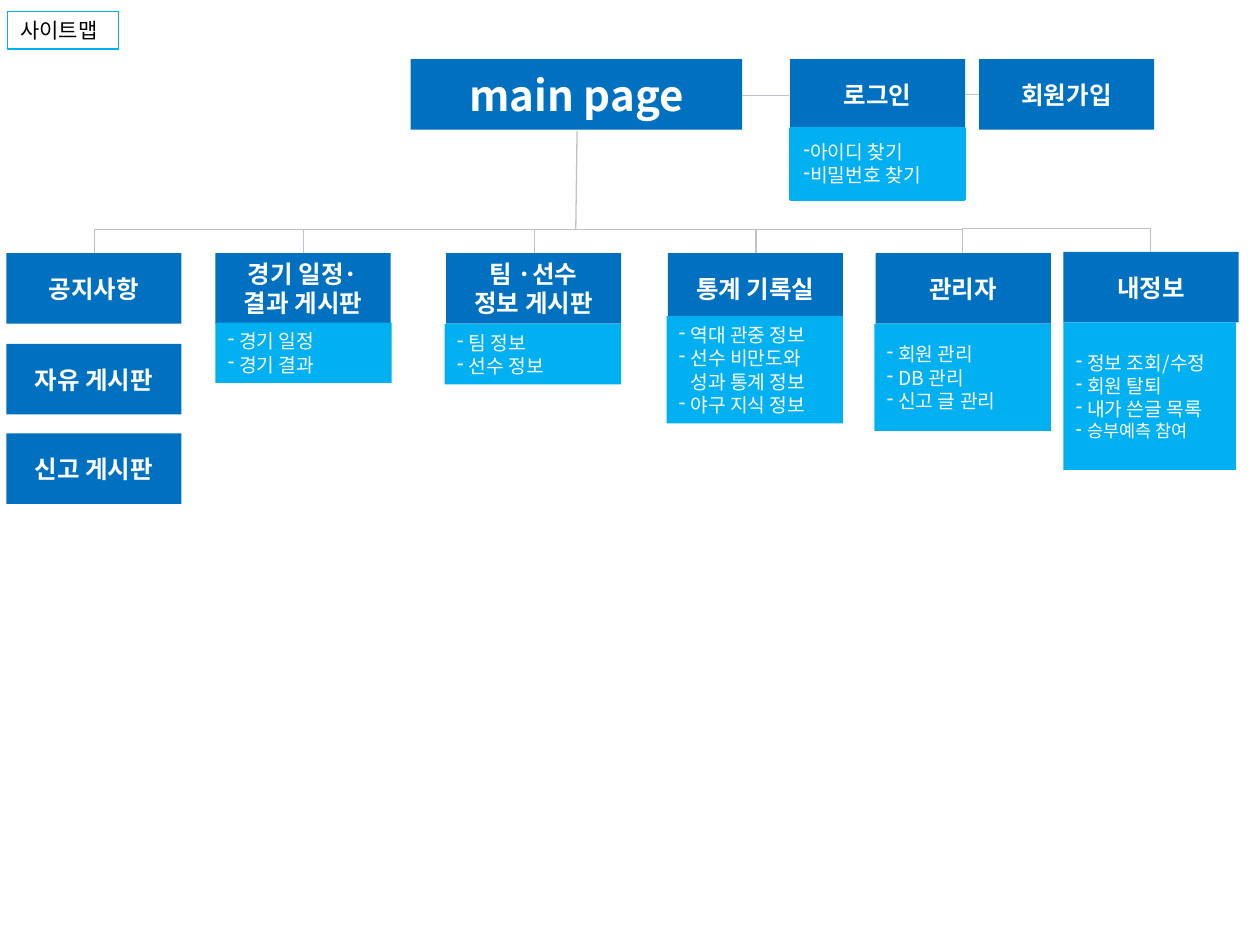
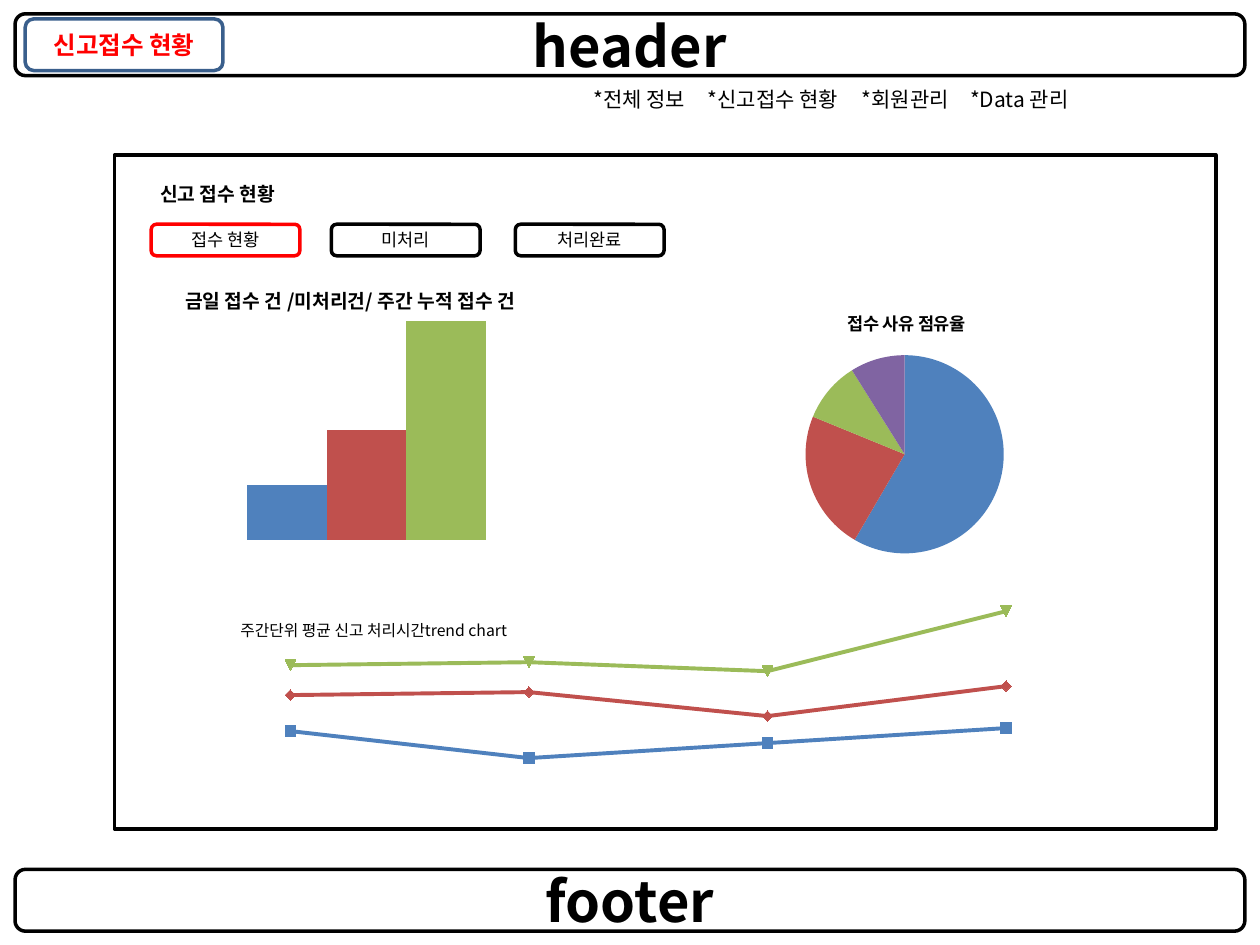
"""Build a site map slide and a report dashboard slide."""
from dataclasses import dataclass, replace
from typing import Any, Optional

import lxml.etree
import pptx
import pptx.chart.data
import pptx.dml.color
import pptx.enum.chart
import pptx.enum.shapes
import pptx.enum.text
import pptx.oxml.ns
import pptx.util

Inches = pptx.util.Inches
qn = pptx.oxml.ns.qn
ShapeType = pptx.enum.shapes.MSO_SHAPE
ConnectorType = pptx.enum.shapes.MSO_CONNECTOR
ChartType = pptx.enum.chart.XL_CHART_TYPE
Align = pptx.enum.text.PP_ALIGN
Anchor = pptx.enum.text.MSO_ANCHOR

FONT = "Noto Sans CJK KR"
COLORS = {
    "white": "FFFFFF", "black": "000000", "red": "FF0000",
    "page": "0070C0", "detail": "00B0F0", "connector": "BDC1CA", "badge": "3A5F8C",
    "blue": "4F81BD", "brick": "C0504D", "green": "9BBB59", "purple": "8064A2",
}
SERIES_COLORS = ["blue", "brick", "green", "purple"]
TITLE_ONLY_LAYOUT = 5


@dataclass(frozen=True)
class TextStyle:
    """Size, colour and placing of a text."""
    size: float
    color: str = "black"
    bold: bool = False
    align: Any = Align.LEFT
    anchor: Any = Anchor.TOP
    wrap: bool = True


@dataclass(frozen=True)
class Area:
    """Left, top, width and height, in inches or as shares of a chart."""
    left: float
    top: float
    width: float
    height: float

    def lengths(self) -> list:
        """Return the four values as lengths."""
        return [Inches(value) for value in (self.left, self.top, self.width, self.height)]


@dataclass(frozen=True)
class BoxStyle:
    """Outline, fill and text style of a box."""
    text: TextStyle
    fill: Optional[str] = None
    line: Optional[str] = None
    line_width: float = 2
    kind: Any = ShapeType.RECTANGLE


@dataclass(frozen=True)
class Details:
    """A list of functions below a page box."""
    area: Area
    items: tuple
    hanging: float = 0.09
    line: Optional[str] = None


CENTERED = TextStyle(14, "white", True, Align.CENTER, Anchor.MIDDLE)
PAGE = BoxStyle(CENTERED, "page")
BAND = BoxStyle(replace(CENTERED, size=32, color="black"), "white", "black",
                kind=ShapeType.ROUNDED_RECTANGLE)
BADGE = replace(BAND, text=replace(CENTERED, color="red"), line="badge")
BUTTON = replace(BAND, text=replace(CENTERED, size=10, color="black", bold=False), fill=None)
DETAIL_TEXT = TextStyle(11, "white", anchor=Anchor.MIDDLE)
PAGE_WIDTH, PAGE_HEIGHT = 1.39, 0.56


def rgb(name: str) -> pptx.dml.color.RGBColor:
    """Return a named colour."""
    return pptx.dml.color.RGBColor.from_string(COLORS[name])


def set_values(target: Any, values: dict) -> None:
    """Set several attributes of an object."""
    for name, value in values.items():
        setattr(target, name, value)


def format_font(font: Any, style: TextStyle) -> None:
    """Apply a text style to a font."""
    set_values(font, {"name": FONT, "size": pptx.util.Pt(style.size), "bold": style.bold})
    font.color.rgb = rgb(style.color)


def write_text(shape: Any, text: str, style: TextStyle) -> None:
    """Write one paragraph for each line of a text."""
    frame = shape.text_frame
    frame.text = text
    set_values(frame, {"auto_size": pptx.enum.text.MSO_AUTO_SIZE.NONE,
                       "word_wrap": style.wrap, "vertical_anchor": style.anchor})
    for paragraph in frame.paragraphs:
        paragraph.alignment = style.align
        for run in paragraph.runs:
            format_font(run.font, style)
            east_asian = lxml.etree.SubElement(run.font._element, qn("a:ea"))
            east_asian.set("typeface", FONT)


def format_line(line: Any, color: Optional[str], width: float) -> None:
    """Colour a line, or remove it when there is no colour."""
    if color is None:
        line.fill.background()
    else:
        line.color.rgb = rgb(color)
        line.width = pptx.util.Pt(width)


def add_box(slide: Any, area: Area, text: str, style: BoxStyle) -> Any:
    """Add a box with text."""
    shape = slide.shapes.add_shape(style.kind, *area.lengths())
    shape.shadow.inherit = False
    if style.fill is None:
        shape.fill.background()
    else:
        shape.fill.solid()
        shape.fill.fore_color.rgb = rgb(style.fill)
    format_line(shape.line, style.line, style.line_width)
    if text:
        write_text(shape, text, style.text)
    return shape


def add_page(slide: Any, left: float, top: float, text: str) -> None:
    """Add a page box of the site map."""
    add_box(slide, Area(left, top, PAGE_WIDTH, PAGE_HEIGHT), text, PAGE)


def add_details(slide: Any, details: Details) -> None:
    """Add a dashed list; an item that starts with '+' continues the one before."""
    lines = [item.lstrip("+") for item in details.items]
    style = BoxStyle(DETAIL_TEXT, "detail", details.line)
    shape = add_box(slide, details.area, "\n".join(lines), style)
    for item, paragraph in zip(details.items, shape.text_frame.paragraphs):
        properties = paragraph._p.get_or_add_pPr()
        properties.set("marL", str(Inches(details.hanging)))
        if not item.startswith("+"):
            properties.set("indent", str(-Inches(details.hanging)))
            lxml.etree.SubElement(properties, qn("a:buChar")).set("char", "-")


def add_text(slide: Any, area: Area, text: str, style: TextStyle) -> Any:
    """Add a text box."""
    shape = slide.shapes.add_textbox(*area.lengths())
    write_text(shape, text, style)
    return shape


def add_title(slide: Any, area: Area, text: str, style: TextStyle) -> Any:
    """Move and format the title placeholder."""
    title = slide.shapes.title
    set_values(title, dict(zip(("left", "top", "width", "height"), area.lengths())))
    write_text(title, text, style)
    return title


def add_line(slide: Any, start: tuple, end: tuple, kind: Any = ConnectorType.STRAIGHT) -> Any:
    """Add a thin grey connector."""
    points = [Inches(value) for value in (*start, *end)]
    connector = slide.shapes.add_connector(kind, *points)
    format_line(connector.line, "connector", 0.75)
    lxml.etree.SubElement(connector.element.spPr, qn("a:effectLst"))
    return connector


def add_bridge(slide: Any, left: float, right: float, level: float, rise: float = 0.19) -> None:
    """Join two box tops with an elbow connector that rises above them."""
    depth = 0.002
    center, span = (left + right) / 2, right - left
    connector = add_line(slide, (center - depth / 2, level - span / 2),
                         (center + depth / 2, level + span / 2), ConnectorType.ELBOW)
    properties = connector.element.spPr
    transform = properties.find(qn("a:xfrm"))
    for name, value in {"rot": "5400000", "flipH": "1", "flipV": "1"}.items():
        transform.set(name, value)
    geometry = properties.find(qn("a:prstGeom"))
    values = geometry.find(qn("a:avLst"))
    if values is None:
        values = lxml.etree.SubElement(geometry, qn("a:avLst"))
    guide = lxml.etree.SubElement(values, qn("a:gd"))
    guide.set("name", "adj1")
    guide.set("fmla", f"val {round(rise / depth * 100000)}")


def place_in_chart(parent: Any, area: Area, is_plot: bool = True) -> None:
    """Fix the place of a plot or chart title as shares of the chart."""
    for old in parent.findall(qn("c:layout")):
        parent.remove(old)
    layout = lxml.etree.Element(qn("c:layout"))
    manual = lxml.etree.SubElement(layout, qn("c:manualLayout"))
    values = {"xMode": "edge", "yMode": "edge", "x": area.left, "y": area.top}
    if is_plot:
        values = {"layoutTarget": "inner", **values, "w": area.width, "h": area.height}
    for name, value in values.items():
        lxml.etree.SubElement(manual, qn(f"c:{name}")).set("val", str(value))
    parent.insert(0 if is_plot else 1, layout)


def add_chart(slide: Any, kind: Any, area: Area, plot_area: Area, rows: list,
              maximum: Optional[float] = None) -> Any:
    """Add a chart without legend; a maximum hides and scales its axes."""
    data = pptx.chart.data.CategoryChartData()
    data.categories = [str(number + 1) for number in range(len(rows[0]))]
    for number, row in enumerate(rows, 1):
        data.add_series(f"Series {number}", row)
    chart = slide.shapes.add_chart(kind, *area.lengths(), data).chart
    set_values(chart, {"has_legend": False, "has_title": False})
    format_font(chart.font, TextStyle(18))
    if maximum is not None:
        set_values(chart.value_axis, {"minimum_scale": 0, "maximum_scale": maximum})
        for axis in (chart.value_axis, chart.category_axis):
            set_values(axis, {"visible": False, "has_major_gridlines": False})
        chart.plots[0].vary_by_categories = False
    place_in_chart(chart._chartSpace.chart.plotArea, plot_area)
    return chart


def fill_parts(parts: Any) -> None:
    """Fill series or points with the series colours."""
    for part, color in zip(parts, SERIES_COLORS):
        part.format.fill.solid()
        part.format.fill.fore_color.rgb = rgb(color)


def build_site_map(slide: Any) -> None:
    """Draw the tree of pages."""
    title = add_title(slide, Area(0.06, 0.09, 0.88, 0.3), "사이트맵", TextStyle(12, wrap=False))
    format_line(title.line, "detail", 0.75)

    add_box(slide, Area(3.26, 0.47, 2.63, PAGE_HEIGHT), "main page",
            replace(PAGE, text=replace(CENTERED, size=24)))
    for left, top, text in [
        (6.27, 0.47, "로그인"), (7.77, 0.47, "회원가입"),
        (0.05, 2.01, "공지사항"), (0.05, 2.73, "자유 게시판"), (0.05, 3.44, "신고 게시판"),
        (1.71, 2.01, "경기 일정·\n결과 게시판"), (3.54, 2.01, "팀 ·선수\n정보 게시판"),
        (5.3, 2.01, "통계 기록실"), (6.95, 2.01, "관리자"), (8.44, 2, "내정보"),
    ]:
        add_page(slide, left, top, text)

    for start, end in [((5.89, 0.76), (6.26, 0.76)), ((7.66, 0.75), (7.77, 0.75)),
                       ((4.58, 1.04), (4.57, 1.82))]:
        add_line(slide, start, end)
    centers = [0.75, 2.41, 4.24, 6, 7.64, 9.13]
    levels = [2.01] * 4 + [2]
    for left, right, level in zip(centers, centers[1:], levels):
        add_bridge(slide, left, right, level)

    for details in [
        Details(Area(6.28, 1.02, 1.37, 0.56), ("아이디 찾기", "비밀번호 찾기"), 0.05, "detail"),
        Details(Area(1.71, 2.56, 1.4, 0.48), ("경기 일정", "경기 결과")),
        Details(Area(3.53, 2.57, 1.4, 0.48), ("팀 정보", "선수 정보")),
        Details(Area(5.29, 2.51, 1.4, 0.85),
                ("역대 관중 정보", "선수 비만도와", "+성과 통계 정보", "야구 지식 정보")),
        Details(Area(6.94, 2.57, 1.4, 0.85), ("회원 관리", "DB 관리", "신고 글 관리")),
    ]:
        add_details(slide, details)
    add_details(slide, Details(Area(8.44, 2.56, 1.37, 1.17),
                               ("정보 조회/수정", "회원 탈퇴", "내가 쓴글 목록", "승부예측 참여")))
    last_item = slide.shapes[-1].text_frame.paragraphs[-1]
    last_item.runs[0].font.size = pptx.util.Pt(10)


def build_dashboard(slide: Any) -> None:
    """Draw the report status page with its three charts."""
    heading = TextStyle(11, bold=True)
    add_title(slide, Area(1.17, 1.4, 2.76, 0.29), "신고 접수 현황", heading)
    for top, text in [(0.11, "header"), (6.9, "footer")]:
        add_box(slide, Area(0.12, top, 9.76, 0.49), text, BAND)
    add_box(slide, Area(0.2, 0.15, 1.57, 0.41), "신고접수 현황", BADGE)

    menu = add_text(slide, Area(4.61, 0.64, 4.29, 0.3),
                    "*전체 정보\t*신고접수 현황\t*회원관리\t*Data 관리", TextStyle(12))
    properties = menu.text_frame.paragraphs[0]._p.get_or_add_pPr()
    stops = lxml.etree.SubElement(properties, qn("a:tabLst"))
    for position in (0.91, 2.13, 2.99):
        stop = lxml.etree.SubElement(stops, qn("a:tab"))
        stop.set("pos", str(Inches(position)))
        stop.set("algn", "l")

    add_box(slide, Area(0.91, 1.23, 8.74, 5.35), "", replace(BUTTON, kind=ShapeType.RECTANGLE))
    for left, text, line in [(1.2, "접수 현황", "red"), (2.63, "미처리", "black"),
                             (4.09, "처리완료", "black")]:
        add_box(slide, Area(left, 1.78, 1.18, 0.25), text, replace(BUTTON, line=line))

    pie = add_chart(slide, ChartType.PIE, Area(5.47, 2.29, 3.42, 2.25),
                    Area(0.27, 0.23, 0.46, 0.71), [[59, 23, 10, 9]])
    fill_parts([pie.plots[0].series[0].points[number] for number in range(4)])
    pie.chart_title.text_frame.text = "접수 사유 점유율"
    format_font(pie.chart_title.text_frame.paragraphs[0].runs[0].font, TextStyle(10, bold=True))
    place_in_chart(pie.chart_title._element, Area(0.36, 0.06, 0, 0), is_plot=False)

    columns = add_chart(slide, ChartType.COLUMN_CLUSTERED, Area(1.43, 2.28, 2.96, 2.05),
                        Area(0.02, 0.13, 0.96, 0.85), [[25], [50], [100]], 100)
    set_values(columns.plots[0], {"gap_width": 150, "overlap": 0})
    fill_parts(columns.plots[0].series)
    add_text(slide, Area(1.37, 2.25, 3.32, 0.29), "금일 접수 건 /미처리건/ 주간 누적 접수 건", heading)

    trend = add_chart(slide, ChartType.LINE_MARKERS_STACKED, Area(1.2, 4.62, 7.89, 1.73),
                      Area(0.02, 0.12, 0.96, 0.86),
                      [[86, 50, 70, 90], [48, 88, 36, 56], [40, 40, 60, 100]], 250)
    for series, color in zip(trend.plots[0].series, SERIES_COLORS):
        series.smooth = False
        format_line(series.format.line, color, 2.25)
        series.marker.size = 6
    fill_parts([series.marker for series in trend.plots[0].series])
    add_text(slide, Area(1.81, 4.88, 6.67, 0.31), "주간단위 평균 신고 처리시간trend chart", TextStyle(9))


presentation = pptx.Presentation()
set_values(presentation, {"slide_width": Inches(10), "slide_height": Inches(7.5)})
for build in (build_site_map, build_dashboard):
    build(presentation.slides.add_slide(presentation.slide_layouts[TITLE_ONLY_LAYOUT]))
presentation.save("out.pptx")
